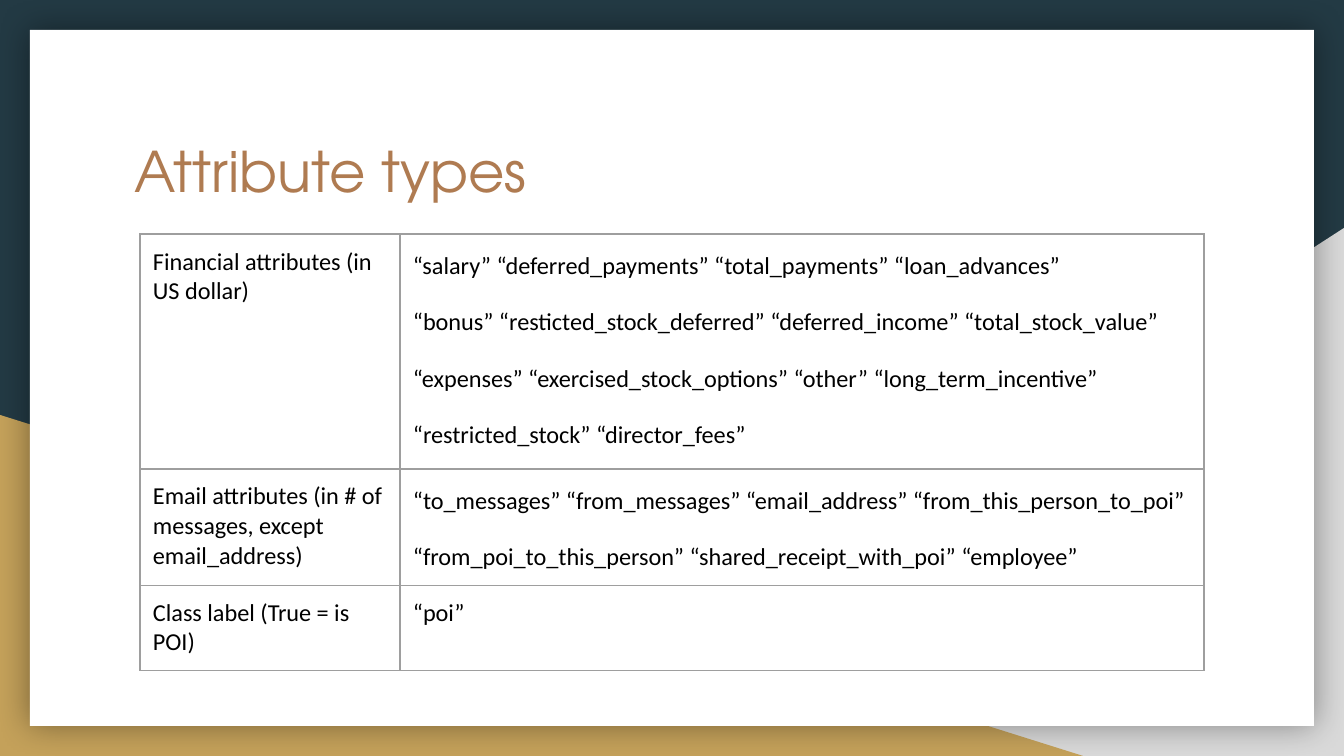
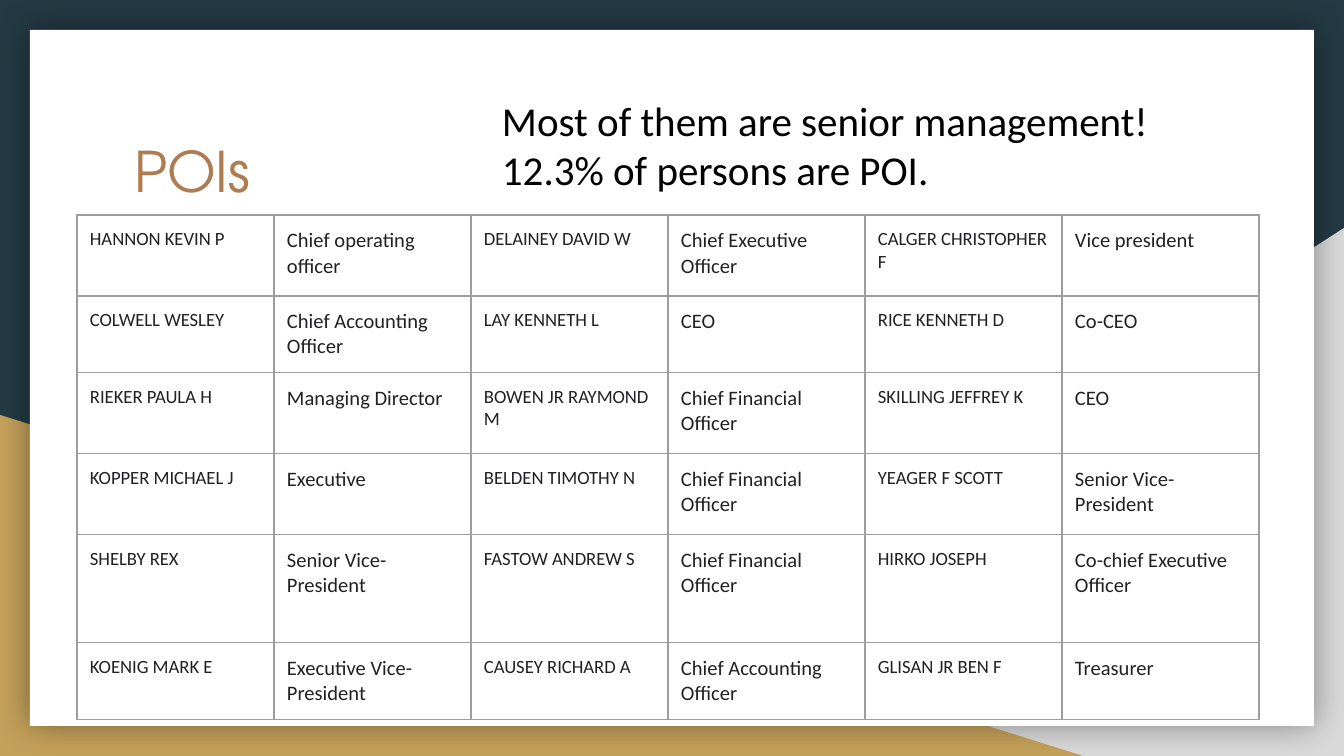
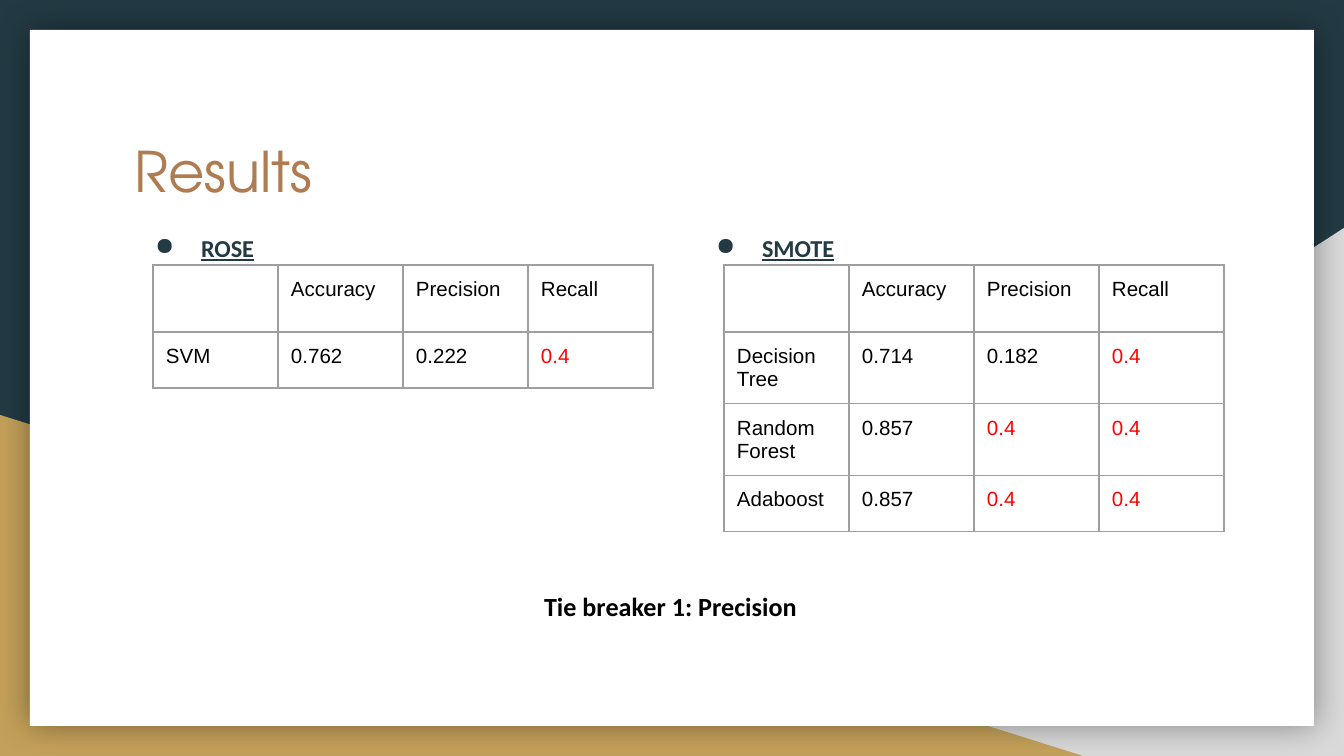
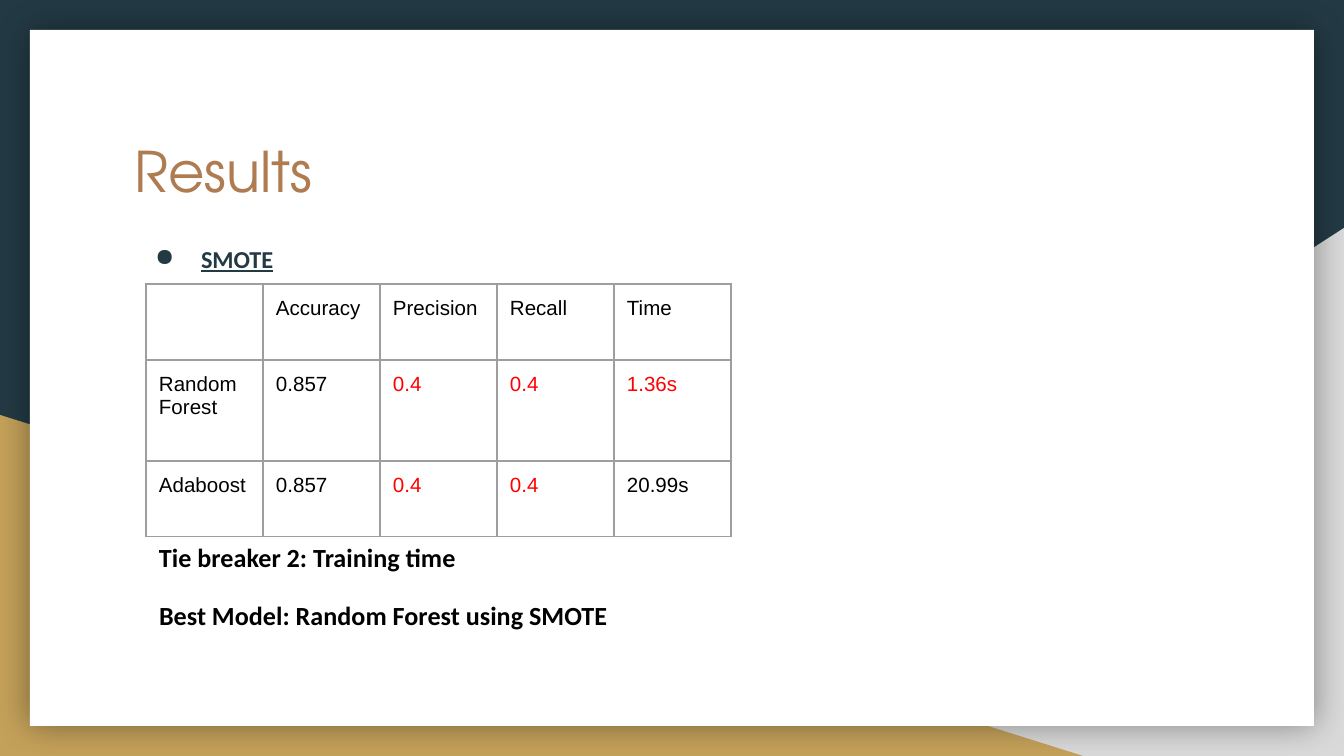
from lxml import etree
from pptx import Presentation
from pptx.dml.color import RGBColor
from pptx.enum.shapes import MSO_SHAPE
from pptx.enum.text import MSO_ANCHOR, MSO_AUTO_SIZE, PP_ALIGN
from pptx.oxml.ns import qn
from pptx.util import Pt

RIGHT_TRIANGLE, RECTANGLE = MSO_SHAPE.RIGHT_TRIANGLE, MSO_SHAPE.RECTANGLE
TOP, LEFT = MSO_ANCHOR.TOP, PP_ALIGN.LEFT
FIXED_SIZE, GROW = MSO_AUTO_SIZE.NONE, MSO_AUTO_SIZE.SHAPE_TO_FIT_TEXT

# Shared look
NAVY, GOLD, GREY, WHITE = "233A44", "C4A15A", "D9D9D9", "FFFFFF"
COPPER, BLACK, INK, RED, RULE = "AF7B51", "000000", "202124", "FF0000", "9E9E9E"
TITLE_FONT, BODY_FONT, NUMBER_FONT = "TeX Gyre Adventor", "Calibri", "Arial"
EMU_PER_PX = 914400 / 134.4
SLIDE_SIZE = (1344, 756)
TITLE_BOX = (121, 124, 1103, 140)
INSET = 13
BACKDROP = [
    (RIGHT_TRIANGLE, (527, 228, 817, 528), GREY),
    (RIGHT_TRIANGLE, (0, 415, 1083, 341), GOLD),
    (RECTANGLE, (30, 30, 1284, 696), WHITE),
]

# Content
ATTRIBUTES = [
    ("Financial attributes (in US dollar)", [
        "“salary” “deferred_payments” “total_payments” “loan_advances”",
        "“bonus” “resticted_stock_deferred” “deferred_income” “total_stock_value”",
        "“expenses” “exercised_stock_options” “other” “long_term_incentive”",
        "“restricted_stock” “director_fees”"]),
    ("Email attributes (in # of messages, except email_address)", [
        "“to_messages” “from_messages” “email_address” “from_this_person_to_poi”",
        "“from_poi_to_this_person” “shared_receipt_with_poi” “employee”"]),
    ("Class label (True = is POI)", "“poi”"),
]
PERSONS = [
    ("HANNON KEVIN P", "Chief operating officer", "DELAINEY DAVID W",
     "Chief Executive Officer", "CALGER CHRISTOPHER F", "Vice president"),
    ("COLWELL WESLEY", "Chief Accounting Officer", "LAY KENNETH L",
     "CEO", "RICE KENNETH D", "Co-CEO"),
    ("RIEKER PAULA H", "Managing Director", "BOWEN JR RAYMOND M",
     "Chief Financial Officer", "SKILLING JEFFREY K", "CEO"),
    ("KOPPER MICHAEL J", "Executive", "BELDEN TIMOTHY N",
     "Chief Financial Officer", "YEAGER F SCOTT", "Senior Vice-President"),
    ("SHELBY REX", "Senior Vice-President", "FASTOW ANDREW S",
     "Chief Financial Officer", "HIRKO JOSEPH", "Co-chief Executive Officer"),
    ("KOENIG MARK E", "Executive Vice-President", "CAUSEY RICHARD A",
     "Chief Accounting Officer", "GLISAN JR BEN F", "Treasurer"),
]
PERSONS_NOTE = ["Most of them are senior management!", "12.3% of persons are POI."]
METRICS = ("", "Accuracy", "Precision", "Recall")
ROSE = [METRICS, ("SVM", "0.762", "0.222", "0.4")]
SMOTE = [
    METRICS,
    ("Decision Tree", "0.714", "0.182", "0.4"),
    ("Random Forest", "0.857", "0.4", "0.4"),
    ("Adaboost", "0.857", "0.4", "0.4"),
]
SMOTE_TIMED = [
    METRICS + ("Time",),
    ("Random Forest", "0.857", "0.4", "0.4", "1.36s"),
    ("Adaboost", "0.857", "0.4", "0.4", "20.99s"),
]
BEST_VALUES = {"0.4", "1.36s"}


def px(length):
    return round(length * EMU_PER_PX)


def box_emu(box):
    return [px(length) for length in box]


def color(hex_text):
    return RGBColor.from_string(hex_text)


def add_xml(parent, tag, **attributes):
    return etree.SubElement(parent, qn(tag), attributes)


def write(frame, text, size=13, font=BODY_FONT, fill=BLACK, bold=None,
          underline=None, spacing=None, before=None, after=None):
    """Fill a text frame; a list gives one paragraph per item."""
    lines = [text] if isinstance(text, str) else text
    for index, line in enumerate(lines):
        paragraph = frame.paragraphs[0] if index == 0 else frame.add_paragraph()
        paragraph.alignment = LEFT
        paragraph.line_spacing = spacing
        paragraph.space_before = before
        run = paragraph.add_run()
        run.text = line
        run.font.size, run.font.name = Pt(size), font
        run.font.bold, run.font.underline = bold, underline
        run.font.color.rgb = color(fill)
    paragraph.space_after = after


def set_margins(item):
    item.margin_left = item.margin_right = px(INSET)
    item.margin_top = item.margin_bottom = px(INSET)


def setup_frame(frame, auto_size):
    frame.word_wrap = True
    frame.auto_size = auto_size
    frame.vertical_anchor = TOP
    set_margins(frame)


def add_text(slide, box, text, auto_size=GROW, **style):
    frame = slide.shapes.add_textbox(*box_emu(box)).text_frame
    setup_frame(frame, auto_size)
    write(frame, text, **style)
    return frame


def add_bullet_heading(slide, left, top, text):
    frame = add_text(slide, (left, top, 551, 360), text, auto_size=FIXED_SIZE,
                     fill=NAVY, bold=True, underline=True, spacing=1.15)
    properties = frame.paragraphs[0]._p.get_or_add_pPr()
    properties.set("marL", str(px(67)))
    properties.set("indent", str(px(-46)))
    add_xml(add_xml(properties, "a:buClr"), "a:srgbClr", val=NAVY)
    add_xml(properties, "a:buChar", char="●")


def add_conclusion(slide, box, text):
    add_text(slide, box, text, size=14, bold=True)


def draw_borders(cell):
    properties = cell._tc.get_or_add_tcPr()
    for index, side in enumerate(("a:lnL", "a:lnR", "a:lnT", "a:lnB")):
        line = etree.Element(qn(side), w=str(Pt(0.75)))
        add_xml(add_xml(line, "a:solidFill"), "a:srgbClr", val=RULE)
        properties.insert(index, line)


def add_table(slide, left, top, widths, heights, rows, style_of):
    """style_of(column, content) returns the text format of a cell."""
    box = (left, top, sum(widths), sum(heights))
    table = slide.shapes.add_table(len(rows), len(widths), *box_emu(box)).table
    table.first_row = table.horz_banding = False
    for column, width in zip(table.columns, widths):
        column.width = px(width)
    for row, height in zip(table.rows, heights):
        row.height = px(height)
    for row_index, row in enumerate(rows):
        for column_index, content in enumerate(row):
            cell = table.cell(row_index, column_index)
            set_margins(cell)
            cell.fill.background()
            draw_borders(cell)
            if content:
                write(cell.text_frame, content, **style_of(column_index, content))


def attribute_style(column, content):
    if isinstance(content, list):
        return {"spacing": 1.15, "before": Pt(12), "after": Pt(12)}
    return {}


def person_style(column, content):
    return {"size": 11 if column % 2 else 10, "fill": INK}


def score_style(column, content):
    return {"size": 11, "font": NUMBER_FONT,
            "fill": RED if content in BEST_VALUES else BLACK}


def add_titled_slide(presentation, layout, title):
    slide = presentation.slides.add_slide(layout)
    shape = slide.shapes.title
    shape.left, shape.top, shape.width, shape.height = box_emu(TITLE_BOX)
    setup_frame(shape.text_frame, FIXED_SIZE)
    write(shape.text_frame, title, size=30, font=TITLE_FONT, fill=COPPER)
    return slide


def move_backdrop_to_layout(slide, layout):
    """Draw the shared backdrop and place it behind everything on the layout."""
    layout.background.fill.solid()
    layout.background.fill.fore_color.rgb = color(NAVY)
    for placeholder in list(layout.placeholders)[1:]:
        placeholder.element.getparent().remove(placeholder.element)
    for index, (kind, box, fill) in enumerate(BACKDROP):
        shape = slide.shapes.add_shape(kind, *box_emu(box))
        shape.shadow.inherit = False
        shape.fill.solid()
        shape.fill.fore_color.rgb = color(fill)
        shape.line.fill.background()
        properties = shape.element.spPr
        if fill == GREY:
            properties.find(qn("a:xfrm")).set("flipH", "1")
        if fill == WHITE:
            shadow = add_xml(properties.find(qn("a:effectLst")), "a:outerShdw",
                             blurRad=str(Pt(18)), dist="0", dir="0",
                             algn="ctr", rotWithShape="0")
            shade = add_xml(shadow, "a:srgbClr", val=BLACK)
            add_xml(shade, "a:alpha", val="40000")
        layout.shapes.element.insert(2 + index, shape.element)


def main():
    presentation = Presentation()
    presentation.slide_width, presentation.slide_height = box_emu(SLIDE_SIZE)
    layout = presentation.slide_layouts[5]

    # Attribute types
    slide = add_titled_slide(presentation, layout, "Attribute types")
    move_backdrop_to_layout(slide, layout)
    add_table(slide, 140, 234, [260, 804], [235, 56, 56], ATTRIBUTES, attribute_style)

    # Persons of interest
    slide = add_titled_slide(presentation, layout, "POIs")
    add_table(slide, 77, 215, [197] * 6, [81, 73, 81, 81, 108, 16],
              PERSONS, person_style)
    add_text(slide, (489, 82, 786, 126), PERSONS_NOTE, size=22)

    # Results by sampling method
    slide = add_titled_slide(presentation, layout, "Results")
    for heading, heading_left, table_left, scores in (
            ("ROSE", 121, 153, ROSE), ("SMOTE", 682, 724, SMOTE)):
        add_bullet_heading(slide, heading_left, 216, heading)
        add_table(slide, table_left, 265, [125] * 4, [56] * len(scores),
                  scores, score_style)
    add_conclusion(slide, (531, 577, 284, 59), "Tie breaker 1: Precision")

    # Results with training time
    slide = add_titled_slide(presentation, layout, "Results")
    add_bullet_heading(slide, 121, 227, "SMOTE")
    add_table(slide, 146, 284, [117] * 5, [76, 101, 76], SMOTE_TIMED, score_style)
    add_conclusion(slide, (146, 528, 367, 59), "Tie breaker 2: Training time")
    add_conclusion(slide, (146, 586, 551, 59), "Best Model: Random Forest using SMOTE")

    presentation.save("out.pptx")


if __name__ == "__main__":
    main()
